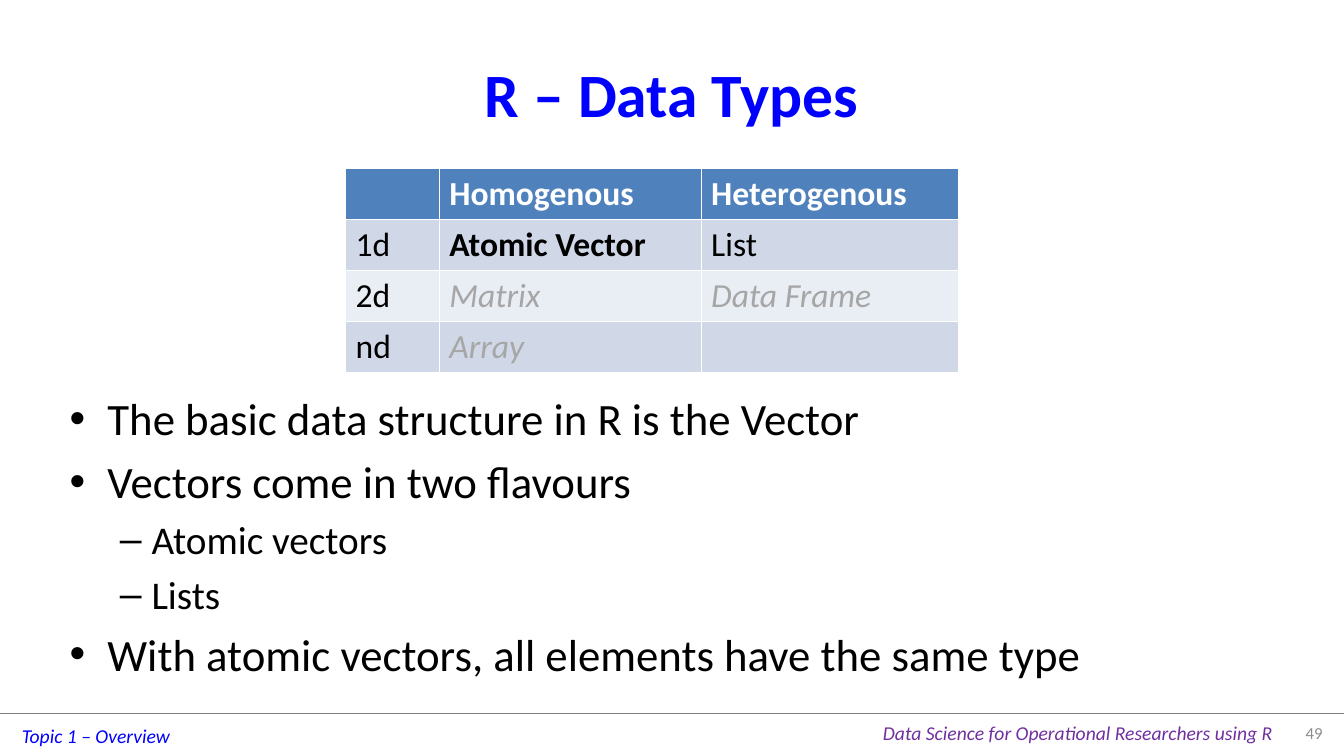
from dataclasses import dataclass

from lxml.etree import SubElement
from pptx import Presentation
from pptx.dml.color import RGBColor
from pptx.enum.shapes import MSO_CONNECTOR as Line
from pptx.enum.text import MSO_ANCHOR as Anchor, MSO_AUTO_SIZE as Fit, PP_ALIGN as Align
from pptx.oxml.ns import qn
from pptx.slide import Slide
from pptx.util import Cm, Pt

BLUE = RGBColor(0x00, 0x00, 0xFF)
PURPLE = RGBColor(0x70, 0x30, 0xA0)
BLACK = RGBColor(0x00, 0x00, 0x00)
WHITE = RGBColor(0xFF, 0xFF, 0xFF)
RULE = RGBColor(0x80, 0x80, 0x80)
NUMBER = RGBColor(0x8C, 0x8C, 0x8C)
FADED = RGBColor(0xA6, 0xA6, 0xA6)
HEAD = RGBColor(0x4F, 0x81, 0xBD)
BANDS = [RGBColor(0xE9, 0xED, 0xF4), RGBColor(0xD0, 0xD8, 0xE8)]
WIDTH, HEIGHT = Cm(33.87), Cm(19.05)


@dataclass
class Box:
    left: float
    top: float
    width: float
    height: float

    def place(self, shape) -> None:
        shape.left, shape.top = Cm(self.left), Cm(self.top)
        shape.width, shape.height = Cm(self.width), Cm(self.height)


@dataclass
class Note:
    text: str
    box: Box
    color: RGBColor
    size: int = 14
    italic: bool = True
    align: Align = Align.LEFT
    anchor: Anchor = Anchor.TOP


@dataclass
class Item:
    text: str
    level: int = 0


NOTES = [
    Note("Topic 1 – Overview", Box(0.3, 18.11, 4.27, 0.86), BLUE),
    Note("Data Science for Operational Researchers using R",
         Box(22, 18.05, 10.44, 0.86), PURPLE),
    Note("49", Box(32.18, 17.96, 1.4, 1), NUMBER, size=12, italic=False,
         align=Align.RIGHT, anchor=Anchor.MIDDLE),
]
ITEMS = [
    Item("The basic data structure in R is the Vector"),
    Item("Vectors come in two flavours"),
    Item("Atomic vectors", 1),
    Item("Lists", 1),
    Item("With atomic vectors, all elements have the same type"),
]
SIZES = [32, 28]
ROWS = [
    ["", "Homogenous", "Heterogenous"],
    ["1d", "Atomic Vector", "List"],
    ["2d", "Matrix", "Data Frame"],
    ["nd", "Array", ""],
]
COLS = [2.36, 6.6, 6.5]
STRONG = {"Atomic Vector"}
FAINT = {"Matrix", "Data Frame", "Array"}


def write(para, text: str, *, size: int, color: RGBColor, bold: bool = False,
          italic: bool = False, align: Align = Align.LEFT) -> None:
    para.alignment = align
    run = para.add_run()
    run.text = text
    font = run.font
    font.name, font.size = "Calibri", Pt(size)
    font.bold, font.italic = bold, italic
    font.color.rgb = color


def add_title(slide: Slide) -> None:
    title = slide.shapes.title
    Box(1.69, 0.76, 30.48, 3.18).place(title)
    title.text_frame.vertical_anchor = Anchor.MIDDLE
    write(title.text_frame.paragraphs[0], "R – Data Types", size=44, color=BLUE,
          bold=True, align=Align.CENTER)


def add_list(slide: Slide) -> None:
    body = slide.placeholders[1]
    Box(1.5, 9.73, 30.48, 7.92).place(body)
    frame = body.text_frame
    frame.auto_size = Fit.NONE
    for i, item in enumerate(ITEMS):
        para = frame.add_paragraph() if i else frame.paragraphs[0]
        size = SIZES[item.level]
        para.level = item.level
        para.space_before = Pt(size * 0.2 if i else 0)
        write(para, item.text, size=size, color=BLACK)


def add_grid(slide: Slide) -> None:
    table = slide.shapes.add_table(len(ROWS), len(COLS), Cm(8.71), Cm(4.24),
                                   Cm(sum(COLS)), Cm(1.29 * len(ROWS))).table
    for col, width in zip(table.columns, COLS):
        col.width = Cm(width)
    for r, row in enumerate(ROWS):
        for c, text in enumerate(row):
            cell = table.cell(r, c)
            cell.fill.solid()
            cell.fill.fore_color.rgb = BANDS[r % 2] if r else HEAD
            if text:
                faint = text in FAINT
                color = WHITE if r == 0 else FADED if faint else BLACK
                write(cell.text_frame.paragraphs[0], text, size=24, color=color,
                      bold=r == 0 or text in STRONG, italic=faint)


def add_note(slide: Slide, note: Note) -> None:
    shape = slide.shapes.add_textbox(0, 0, 0, 0)
    note.box.place(shape)
    shape.text_frame.word_wrap = False
    shape.text_frame.vertical_anchor = note.anchor
    write(shape.text_frame.paragraphs[0], note.text, size=note.size,
          color=note.color, italic=note.italic, align=note.align)


def add_rule(slide: Slide) -> None:
    rule = slide.shapes.add_connector(Line.STRAIGHT, 0, Cm(17.96), WIDTH, Cm(17.96))
    rule.line.color.rgb = RULE
    rule.line.width = Pt(0.25)
    SubElement(rule._element.spPr, qn("a:effectLst"))


def main() -> None:
    deck = Presentation()
    deck.slide_width, deck.slide_height = WIDTH, HEIGHT
    slide = deck.slides.add_slide(deck.slide_layouts[1])
    add_rule(slide)
    add_title(slide)
    add_list(slide)
    for note in NOTES:
        add_note(slide, note)
    add_grid(slide)
    deck.save("out.pptx")


if __name__ == "__main__":
    main()
